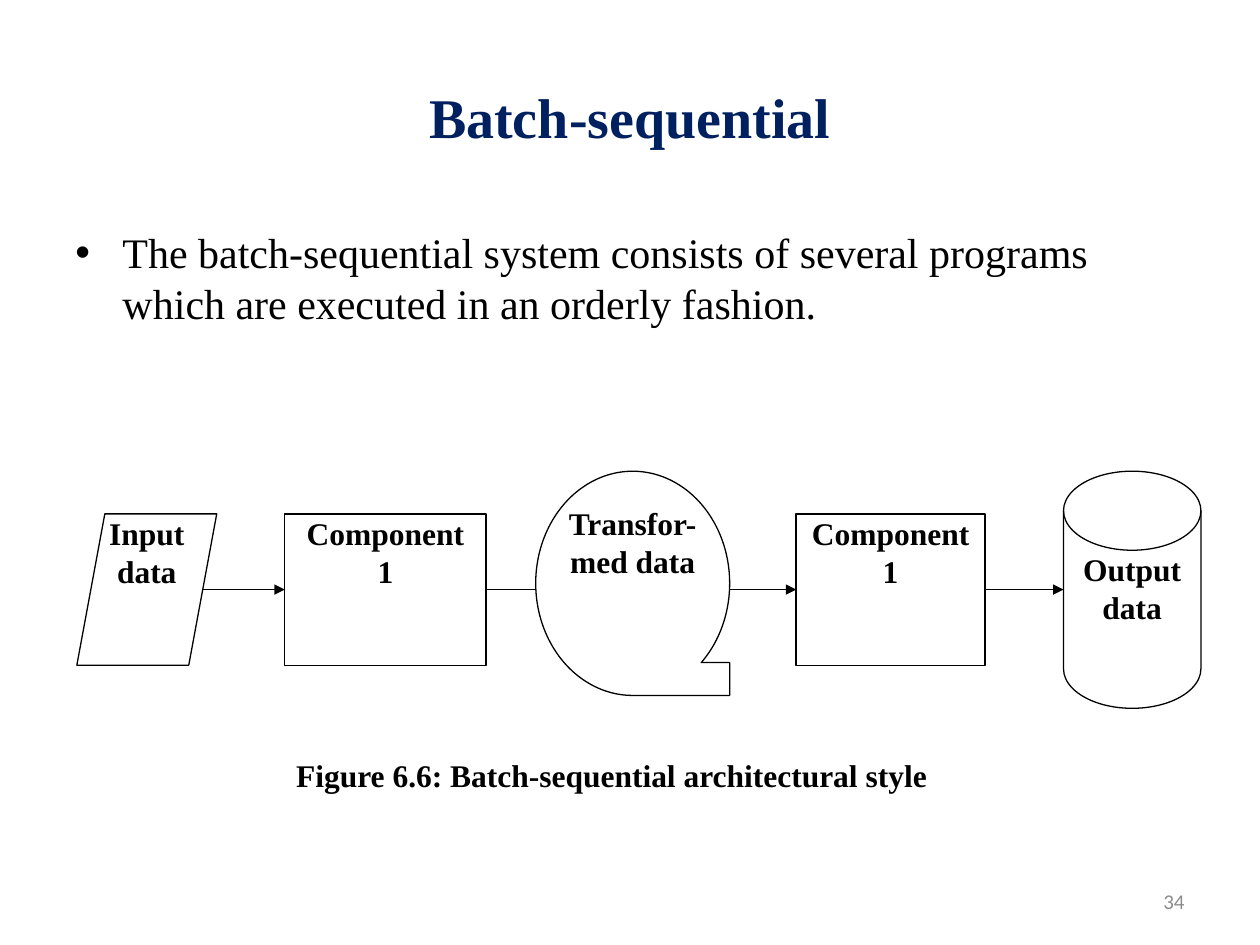
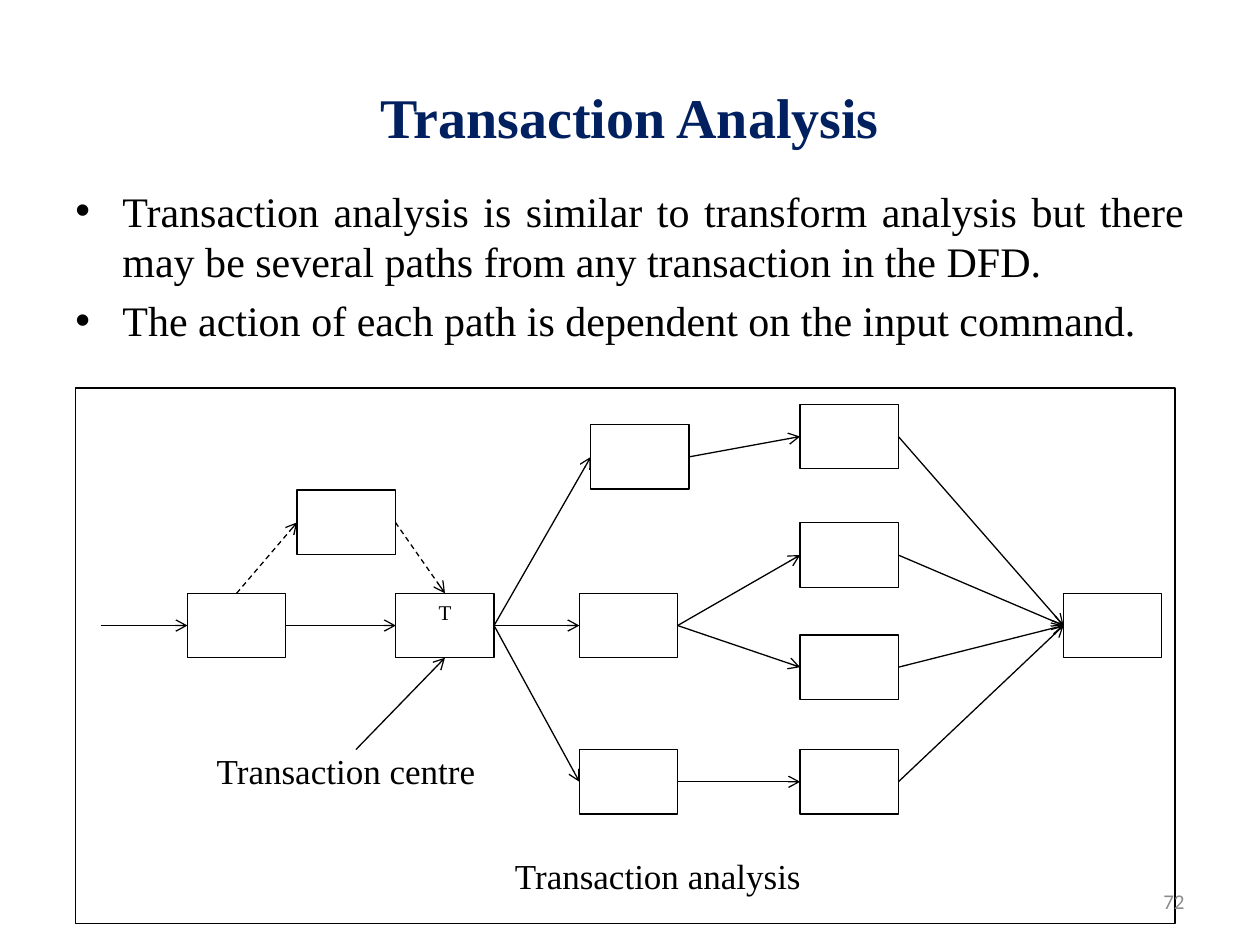
from lxml.etree import SubElement
from pptx import Presentation
from pptx.dml.color import RGBColor
from pptx.enum.dml import MSO_LINE
from pptx.enum.shapes import MSO_CONNECTOR, MSO_SHAPE as Preset
from pptx.enum.text import MSO_ANCHOR as Anchor, PP_ALIGN as Align
from pptx.oxml.ns import qn
from pptx.util import Cm, Pt

NAVY = RGBColor(0x00, 0x20, 0x60)
BLACK = RGBColor(0x00, 0x00, 0x00)
WHITE = RGBColor(0xFF, 0xFF, 0xFF)
GREY = RGBColor(0x8C, 0x8C, 0x8C)
SERIF, SANS = "Times New Roman", "Calibri"
LINE_WIDTH = Pt(0.75)
TOP, LEFT, BOTTOM, RIGHT = range(4)  # connection sites of a rectangle

# Boxes are (left, top, width, height) in centimetres
TITLE_BOX = (1.27, 0.76, 22.86, 3.18)
NUMBER_BOX = (18.21, 17.65, 5.92, 1.02)


# ---- Shared parts ----
def write_text(shape, text, size, font=SERIF, color=BLACK, bold=False,
               align=Align.CENTER, anchor=Anchor.TOP):
    text_frame = shape.text_frame
    text_frame.text = text
    text_frame.word_wrap = True
    text_frame.vertical_anchor = anchor
    for paragraph in text_frame.paragraphs:
        paragraph.alignment = align
        for run in paragraph.runs:
            run.font.name, run.font.size = font, Pt(size)
            run.font.bold, run.font.color.rgb = bold, color


def add_text(slide, box, text, size, **style):
    shape = slide.shapes.add_textbox(*map(Cm, box))
    write_text(shape, text, size, **style)
    return shape


def add_box(slide, box, preset=Preset.RECTANGLE, fill=WHITE, line=BLACK):
    shape = slide.shapes.add_shape(preset, *map(Cm, box))
    shape.shadow.inherit = False
    if fill is None:
        shape.fill.background()
    else:
        shape.fill.solid()
        shape.fill.fore_color.rgb = fill
    shape.line.color.rgb = line
    shape.line.width = LINE_WIDTH
    return shape


def add_label(slide, box, text, size, preset=Preset.RECTANGLE, line=BLACK, **style):
    shape = add_box(slide, box, preset, line=line)
    write_text(shape, text, size, **style)
    text_frame = shape.text_frame
    text_frame.margin_left = text_frame.margin_right = 0
    text_frame.margin_top = text_frame.margin_bottom = 0
    return shape


def add_arrow(slide, start, end, head="arrow", dashed=False):
    """Each end is either (shape, site) or a point (x, y) in centimetres."""
    arrow = slide.shapes.add_connector(MSO_CONNECTOR.STRAIGHT, 0, 0, 0, 0)
    if isinstance(start[0], (int, float)):
        arrow.begin_x, arrow.begin_y = map(Cm, start)
    else:
        arrow.begin_connect(*start)
    if isinstance(end[0], (int, float)):
        arrow.end_x, arrow.end_y = map(Cm, end)
    else:
        arrow.end_connect(*end)
    arrow.line.color.rgb = BLACK
    arrow.line.width = LINE_WIDTH
    if dashed:
        arrow.line.dash_style = MSO_LINE.DASH
    SubElement(arrow.line._get_or_add_ln(), qn("a:tailEnd"), type=head)
    SubElement(arrow._element.spPr, qn("a:effectLst"))


def add_bullets(slide, box, items, align):
    shape = add_text(slide, box, "\n".join(items), 24, align=align)
    for paragraph in shape.text_frame.paragraphs:
        paragraph.space_before = Pt(4.8)
        properties = paragraph._p.get_or_add_pPr()
        properties.set("marL", str(Cm(0.95)))
        properties.set("indent", str(-Cm(0.95)))
        SubElement(properties, qn("a:buFont"), typeface="Arial")
        SubElement(properties, qn("a:buChar"), char="•")


def add_title(slide, title):
    add_text(slide, TITLE_BOX, title, 32, color=NAVY, bold=True, anchor=Anchor.MIDDLE)


def add_number(slide, number):
    add_text(slide, NUMBER_BOX, number, 12, font=SANS, color=GREY,
             align=Align.RIGHT, anchor=Anchor.MIDDLE)


# ---- Batch-sequential diagram ----
def draw_batch_flow(slide, box):
    left, top, width, height = box
    row_top, row_height = 0.86, 3.05
    middle = top + row_top + row_height / 2

    def part(x, y, part_width, part_height, text, preset=Preset.FLOWCHART_PROCESS, **style):
        return add_label(slide, (left + x, top + y, part_width, part_height),
                         text, 18, preset, bold=True, **style)

    # Stages
    part(0, row_top, 2.82, row_height, "Input data", Preset.FLOWCHART_DATA)
    first, second = [part(x, row_top, part_width, row_height, "Component\n1")
                     for x, part_width in ((4.19, 4.06), (14.5, 3.81))]
    disk_width, disk_height = 2.77, 4.78
    part(width - disk_width, 0, disk_width, disk_height, "Output data",
         Preset.FLOWCHART_MAGNETIC_DISK)

    # Flow; the tape covers the head of the arrow that enters it
    for start, end in (
        ((left + 2.53, middle), (first, LEFT)),
        ((first, RIGHT), (left + 9.85, middle)),
        ((left + 13.16, middle), (second, LEFT)),
        ((second, RIGHT), (left + width - disk_width, middle)),
    ):
        add_arrow(slide, start, end, head="triangle")
    part(9.25, 0, 3.91, 4.52, "Transfor-med data", Preset.FLOWCHART_SEQUENTIAL_ACCESS_STORAGE)

    # Caption
    caption_height = 1.35
    part(4.42, height - caption_height, 14.58, caption_height,
         "Figure 6.6: Batch-sequential architectural style",
         Preset.RECTANGLE, line=WHITE, align=Align.LEFT)


# ---- Transaction analysis diagram ----
NODE_SIZE = (1.98, 1.3)
MAIN_ROW, LOW_ROW = 4.14, 7.29
PATH_COLUMN, ACTION_COLUMN = 10.16, 14.61
NODES = {
    "input": (2.26, MAIN_ROW),
    "detour": (4.47, 2.06),
    "centre": (6.46, MAIN_ROW),
    "upper path": (10.39, 0.74),
    "middle path": (PATH_COLUMN, MAIN_ROW),
    "lower path": (PATH_COLUMN, LOW_ROW),
    "action 1": (ACTION_COLUMN, 0.33),
    "action 2": (ACTION_COLUMN, 2.72),
    "action 3": (ACTION_COLUMN, 4.98),
    "action 4": (ACTION_COLUMN, LOW_ROW),
    "output": (19.92, MAIN_ROW),
}
BRANCHES = {
    "input": ["centre"],
    "centre": ["upper path", "middle path", "lower path"],
    "upper path": ["action 1"],
    "middle path": ["action 2", "action 3"],
    "lower path": ["action 4"],
    **{f"action {number}": ["output"] for number in range(1, 5)},
}


def draw_transaction_flow(slide, box):
    left, top, width, height = box
    add_box(slide, box, fill=None)

    # Nodes
    nodes = {name: add_box(slide, (left + x, top + y, *NODE_SIZE))
             for name, (x, y) in NODES.items()}
    write_text(nodes["centre"], "T", 12)

    # Paths
    entry_y = top + MAIN_ROW + NODE_SIZE[1] / 2
    add_arrow(slide, (left + 0.51, entry_y), (nodes["input"], LEFT))
    add_arrow(slide, (nodes["input"], TOP), (nodes["detour"], LEFT), dashed=True)
    add_arrow(slide, (nodes["detour"], RIGHT), (nodes["centre"], TOP), dashed=True)
    for source, targets in BRANCHES.items():
        for target in targets:
            add_arrow(slide, (nodes[source], RIGHT), (nodes[target], LEFT))

    # Captions
    add_label(slide, (left + 6.46, top + 9.4, 10.57, 1.14), "Transaction analysis",
              20, line=WHITE)
    centre_label = add_label(slide, (left + 2.85, top + LOW_ROW, 5.61, 1),
                             "Transaction centre", 20, line=WHITE, align=Align.LEFT)
    add_arrow(slide, (centre_label, TOP), (nodes["centre"], BOTTOM))


# ---- Slides ----
def build_batch_slide(slide):
    add_title(slide, "Batch-sequential")
    add_bullets(slide, (1.27, 4.45, 22.86, 2.74), [
        "The batch-sequential system consists of several programs which are "
        "executed in an orderly fashion.",
    ], Align.LEFT)
    draw_batch_flow(slide, (1.55, 9.5, 22.66, 7.09))
    add_number(slide, "34")


def build_transaction_slide(slide):
    add_title(slide, "Transaction Analysis")
    add_bullets(slide, (1.27, 3.61, 22.86, 4.01), [
        "Transaction analysis is similar to transform analysis but there may be "
        "several paths from any transaction in the DFD.",
        "The action of each path is dependent on the input command.",
    ], Align.JUSTIFY)
    draw_transaction_flow(slide, (1.52, 7.82, 22.17, 10.8))
    add_number(slide, "72")


def main():
    presentation = Presentation()
    presentation.slide_width, presentation.slide_height = Cm(25.4), Cm(19.05)
    blank = presentation.slide_layouts[6]
    for build in (build_batch_slide, build_transaction_slide):
        build(presentation.slides.add_slide(blank))
    presentation.save("out.pptx")


if __name__ == "__main__":
    main()
